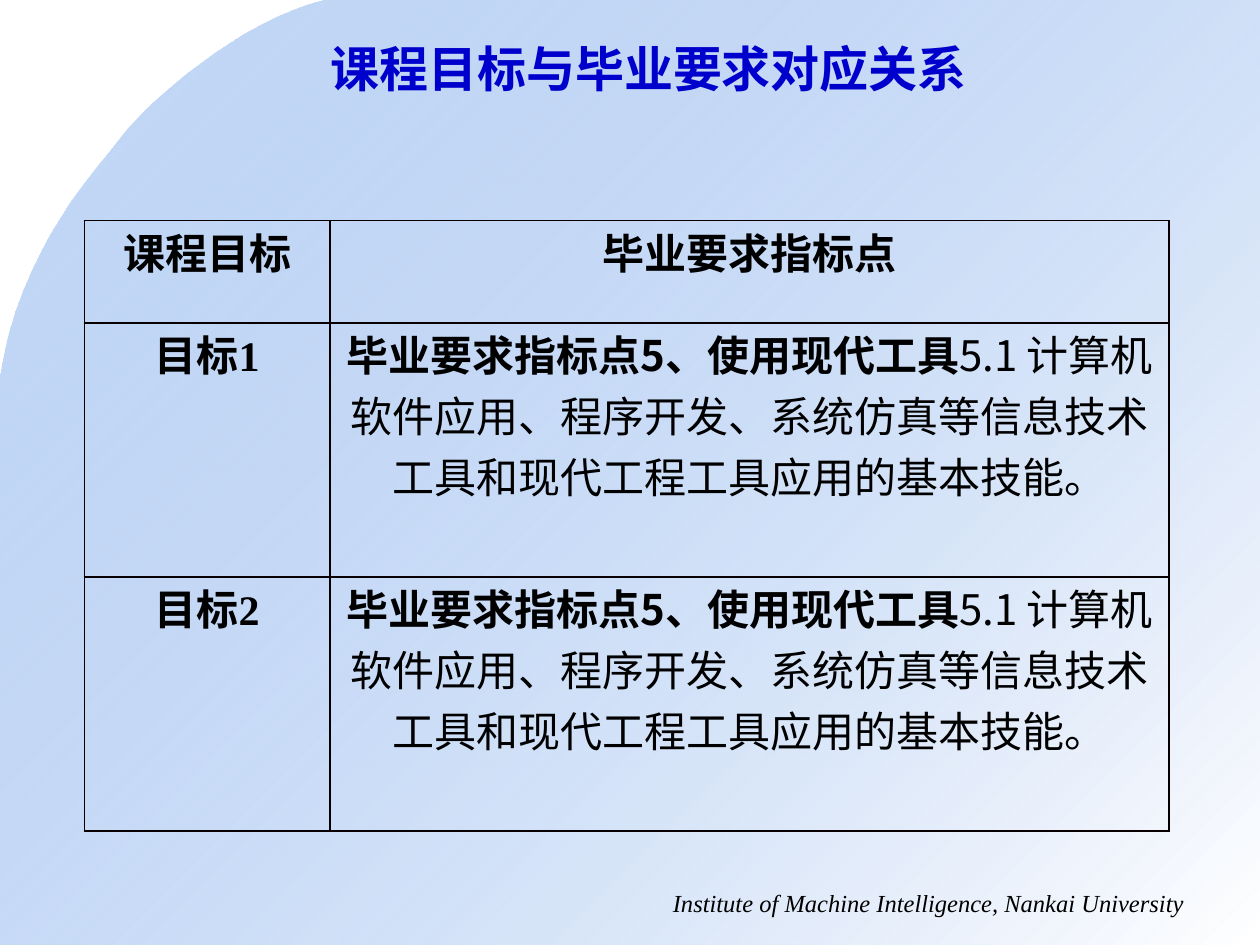
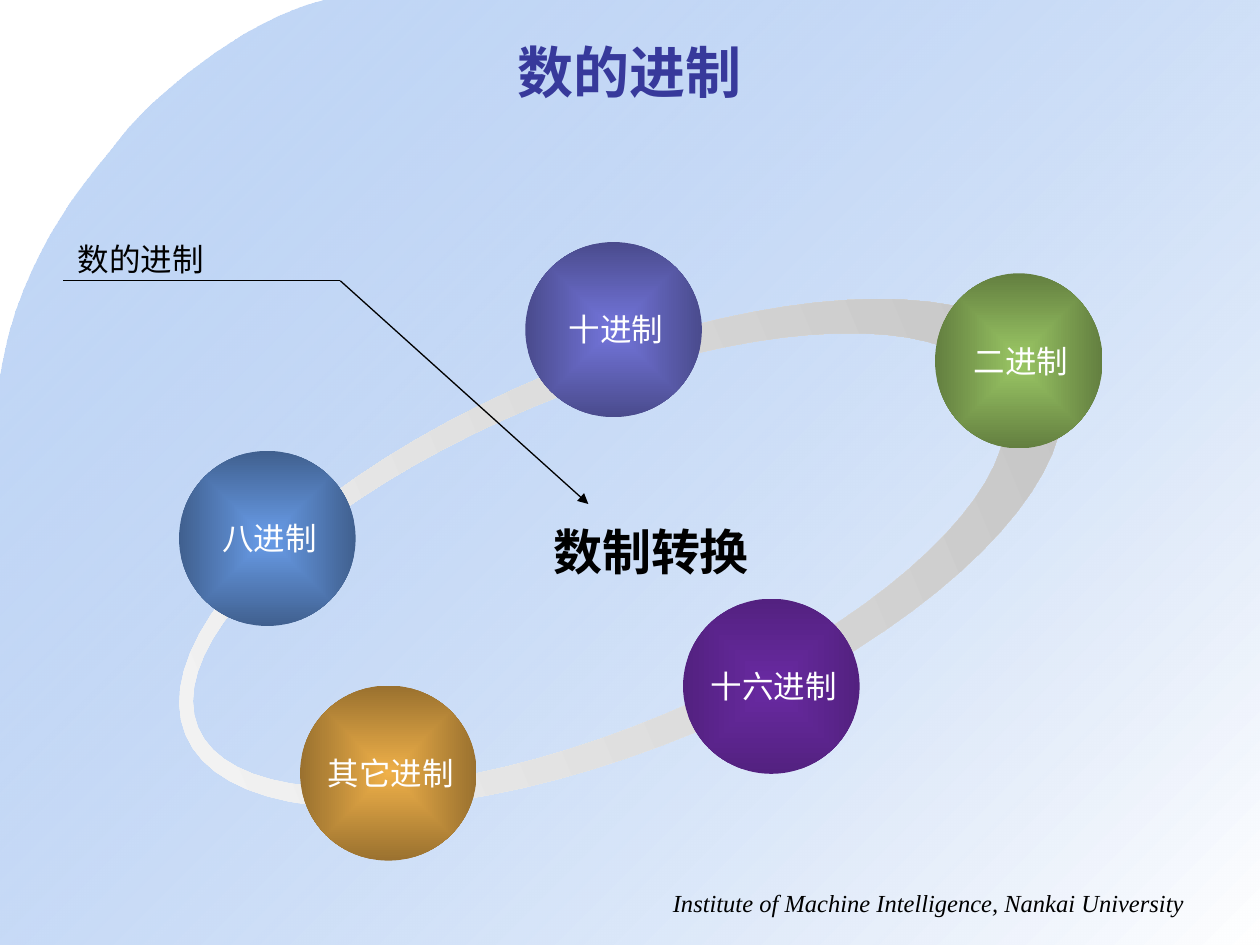
from dataclasses import dataclass
from math import cos, pi, sin

from lxml import etree
from pptx import Presentation
from pptx.dml.color import RGBColor
from pptx.enum.shapes import MSO_CONNECTOR, MSO_SHAPE
from pptx.enum.text import MSO_ANCHOR, MSO_AUTO_SIZE, PP_ALIGN
from pptx.oxml import parse_xml
from pptx.oxml.ns import nsdecls, qn
from pptx.util import Cm, Pt

STRAIGHT = MSO_CONNECTOR.STRAIGHT
OVAL = MSO_SHAPE.OVAL
TOP, MIDDLE = MSO_ANCHOR.TOP, MSO_ANCHOR.MIDDLE
NO_FIT = MSO_AUTO_SIZE.NONE
LEFT, CENTER, RIGHT = PP_ALIGN.LEFT, PP_ALIGN.CENTER, PP_ALIGN.RIGHT
TITLE_ONLY = 5
WIDTH, HEIGHT = 25.4, 19.05


@dataclass(frozen=True)
class Theme:
    sky: str = "699DE9"
    white: str = "FFFFFF"
    black: str = "000000"
    border: str = "080000"
    title_blue: str = "0000CC"
    title_indigo: str = "37399B"
    ring_light: str = "F8F8F8"
    ring_dark: str = "C0C0C0"
    indigo: str = "7476DC"
    orange: str = "EFB049"
    purple: str = "692AA2"
    green: str = "9AC664"
    heading: str = "Arial"
    serif: str = "Times New Roman"
    label: str = "DejaVu Sans"
    chinese: str = "Noto Sans CJK SC"
    footer_size: int = 14
    label_size: int = 18
    table_size: int = 24
    emphasis_size: int = 28
    title_size: int = 32


THEME = Theme()


def set_all(target, values):
    for name, value in values.items():
        setattr(target, name, value)


def bezier(start, control_a, control_b, end, steps=16):
    """Return points along a cubic curve, without its start."""
    points = []
    for step in range(1, steps + 1):
        t = step / steps
        weights = ((1 - t) ** 3, 3 * t * (1 - t) ** 2, 3 * t * t * (1 - t), t ** 3)
        corners = (start, control_a, control_b, end)
        points.append(tuple(sum(w * corner[axis] for w, corner in zip(weights, corners))
                            for axis in (0, 1)))
    return points


def ellipse(center, radii, direction, steps=80):
    angles = [direction * 2 * pi * step / steps for step in range(steps)]
    return [(center[0] + radii[0] * cos(a), center[1] + radii[1] * sin(a)) for a in angles]


def stop(position, color, change="", percent=0):
    """Return one gradient stop, with an optional alpha or shade change."""
    inner = f'<a:{change} val="{percent * 1000:.0f}"/>' if change else ""
    return f'<a:gs pos="{position * 1000}"><a:srgbClr val="{color}">{inner}</a:srgbClr></a:gs>'


def linear(angle):
    return f'<a:lin ang="{angle * 60000}" scaled="0"/>'


FROM_CENTER = ('<a:path path="shape"><a:fillToRect l="50000" t="50000" '
               'r="50000" b="50000"/></a:path>')


class Painter:
    """Holds the theme and the slide being drawn; lengths are in centimetres."""

    def __init__(self, theme):
        self.theme = theme
        self.deck = Presentation()
        self.deck.slide_width, self.deck.slide_height = Cm(WIDTH), Cm(HEIGHT)
        self.layout = self.deck.slide_layouts[TITLE_ONLY]
        self.page = None

    def new_page(self):
        self.page = self.deck.slides.add_slide(self.layout)

    def share(self, *shapes):
        """Move shapes to the layout, behind its placeholders."""
        for index, shape in enumerate(shapes, start=2):
            self.layout.shapes.element.insert(index, shape.element)

    def add_spans(self, para, spans, align):
        """Fill a paragraph from (text, format values) pairs."""
        para.alignment = align
        for text, values in spans:
            span = para.add_run()
            span.text = text
            values = dict(values)
            span.font.color.rgb = RGBColor.from_string(values.pop("color", self.theme.black))
            values["size"] = Pt(values["size"])
            set_all(span.font, values)
            east_asian = etree.SubElement(span.font._element, qn("a:ea"))
            east_asian.set("typeface", self.theme.chinese)

    def place(self, shape, left, top, width, height):
        set_all(shape, {"left": Cm(left), "top": Cm(top),
                        "width": Cm(width), "height": Cm(height)})

    def title(self, text, area, color, size, anchor):
        title = self.page.shapes.title
        self.place(title, *area)
        set_all(title.text_frame, {"word_wrap": True, "auto_size": NO_FIT,
                                   "vertical_anchor": anchor})
        values = {"name": self.theme.heading, "size": size, "color": color, "bold": True}
        self.add_spans(title.text_frame.paragraphs[0], [(text, values)], CENTER)

    def text(self, text, area, values, align=LEFT, wrap=True):
        box = self.page.shapes.add_textbox(*map(Cm, area))
        box.text_frame.word_wrap = wrap
        self.add_spans(box.text_frame.paragraphs[0], [(text, values)], align)
        return box

    def label(self, text, left, top, color):
        values = {"name": self.theme.label, "size": self.theme.label_size, "color": color}
        self.text(text, (left, top, self.label_width(text), 1.02), values, wrap=False)

    @staticmethod
    def label_width(text):
        return 0.64 * len(text) + 0.51

    def gradient(self, shape, stops, direction):
        shape.shadow.inherit = False
        shape.line.fill.background()
        shape.fill.background()
        properties = shape.element.spPr
        fill = parse_xml(f'<a:gradFill {nsdecls("a")} rotWithShape="1"><a:gsLst>'
                         f'{"".join(stops)}</a:gsLst>{direction}</a:gradFill>')
        properties.replace(properties.find(qn("a:noFill")), fill)

    def outline(self, contours, stops, direction):
        builder = None
        for contour in contours:
            points = [(Cm(x), Cm(y)) for x, y in contour]
            if builder is None:
                builder = self.page.shapes.build_freeform(*points[0])
            else:
                builder.move_to(*points[0])
            builder.add_line_segments(points[1:], close=True)
        shape = builder.convert_to_shape()
        self.gradient(shape, stops, direction)
        return shape

    def ball(self, area, color, shade):
        ball = self.page.shapes.add_shape(OVAL, *map(Cm, area))
        self.gradient(ball, [stop(0, color), stop(100, color, "shade", shade)], FROM_CENTER)

    def line(self, start, end, arrow=False):
        connector = self.page.shapes.add_connector(STRAIGHT, *map(Cm, start + end))
        connector.line.color.rgb = RGBColor.from_string(self.theme.black)
        connector.line.width = Pt(0.75)
        properties = connector.element.spPr
        if arrow:
            etree.SubElement(properties.find(qn("a:ln")), qn("a:tailEnd")).set("type", "triangle")
        etree.SubElement(properties, qn("a:effectLst"))

    def table(self, rows, left, top, widths, heights):
        frame = self.page.shapes.add_table(len(rows), len(widths), Cm(left), Cm(top),
                                           Cm(sum(widths)), Cm(sum(heights)))
        table = frame.table
        set_all(table, {"first_row": False, "horz_banding": False})
        for column, width in zip(table.columns, widths):
            column.width = Cm(width)
        for row, height, contents in zip(table.rows, heights, rows):
            row.height = Cm(height)
            for cell, spans in zip(row.cells, contents):
                set_all(cell, {"margin_left": Cm(0.18), "margin_right": Cm(0.18),
                               "margin_top": 0, "margin_bottom": 0, "vertical_anchor": TOP})
                self.add_spans(cell.text_frame.paragraphs[0], spans, CENTER)
                self.borders(cell)
                cell.fill.background()

    def borders(self, cell):
        properties = cell._tc.get_or_add_tcPr()
        for index, side in enumerate("LRTB"):
            properties.insert(index, parse_xml(
                f'<a:ln{side} {nsdecls("a")} w="{Pt(1)}"><a:solidFill>'
                f'<a:srgbClr val="{self.theme.border}"/></a:solidFill></a:ln{side}>'))

    def shared_background(self):
        start, joint, end = (6.55, 0), (2.49, 2.72), (0, 7.65)
        sweep = [start, *bezier(start, (4.83, 0.41), (2.95, 2.11), joint),
                 *bezier(joint, (2.03, 3.35), (0.41, 4.93), end),
                 (0, HEIGHT), (WIDTH, HEIGHT), (WIDTH, 0)]
        stops = [stop(0, self.theme.sky, "alpha", 39), stop(100, self.theme.white)]
        panel = self.outline([sweep], stops, linear(45))
        values = {"name": self.theme.serif, "size": self.theme.footer_size, "italic": True}
        footer = self.text("Institute of Machine Intelligence, Nankai University",
                           (12.27, 17.78, 11.86, 0.86), values, RIGHT)
        self.share(panel, footer)


def draw_goals(painter):
    theme = painter.theme
    painter.title("课程目标与毕业要求对应关系", (4.45, 0.64, 17.25, 2.21),
                  theme.title_blue, theme.emphasis_size, TOP)
    serif = {"name": theme.serif, "size": theme.table_size, "bold": False}
    chinese = {**serif, "name": theme.chinese}
    serif_bold, chinese_bold = {**serif, "bold": True}, {**chinese, "bold": True}
    requirement = [
        ("毕业要求指标点5、使用现代工具", chinese_bold),
        ("5.1 ", chinese),
        ("计算机软件应用、程序开发、系统仿真等信息技术工具和现代工程工具应用的基本技能", serif),
        ("。", chinese),
    ]
    header = [[(text, serif_bold)] for text in ("课程目标", "毕业要求指标点")]
    goals = [[[("目标", chinese_bold), (number, serif_bold)], requirement] for number in "12"]
    painter.table([header, *goals], 1.7, 4.45, (4.95, 16.92), (2.06, 5.12, 5.12))


def draw_number_systems(painter):
    theme = painter.theme
    painter.title("数的进制", (1.27, 0.64, 22.86, 1.57),
                  theme.title_indigo, theme.title_size, MIDDLE)

    ring = painter.outline([ellipse((12.52, 11.16), (9.51, 3.9), 1),
                            ellipse((12.06, 11.12), (8.76, 3.37), -1)],
                           [stop(0, theme.ring_light), stop(100, theme.ring_dark)], linear(0))
    ring.rotation = 337.4

    height = 3.53
    systems = [
        ("十进制", 10.59, 4.88, 3.56, theme.indigo, 36.2),
        ("八进制", 3.61, 9.09, 3.56, theme.sky, 32.6),
        ("其它进制", 6.05, 13.82, 3.56, theme.orange, 36.5),
        ("十六进制", 13.77, 12.07, 3.56, theme.purple, 58.5),
        ("二进制", 18.85, 5.51, 3.38, theme.green, 36.2),
    ]
    for _, left, top, width, color, shade in systems:
        painter.ball((left, top, width, height), color, shade)
    for name, left, top, width, _, _ in systems:
        label_left = left + (width - painter.label_width(name)) / 2 + 0.06
        painter.label(name, label_left, top + height / 2 - 0.51, theme.white)

    painter.text("数制转换", (9.53, 10.39, 7.19, 1.45),
                 {"name": theme.heading, "size": theme.emphasis_size, "bold": True}, CENTER)
    bend = (6.86, 5.66)
    painter.line(bend, (11.86, 10.16), arrow=True)
    painter.line(bend, (1.27, 5.66))
    painter.label("数的进制", 1.32, 4.72, theme.black)


def main():
    painter = Painter(THEME)
    painter.new_page()
    painter.shared_background()
    draw_goals(painter)
    painter.new_page()
    draw_number_systems(painter)
    painter.deck.save("out.pptx")


if __name__ == "__main__":
    main()
